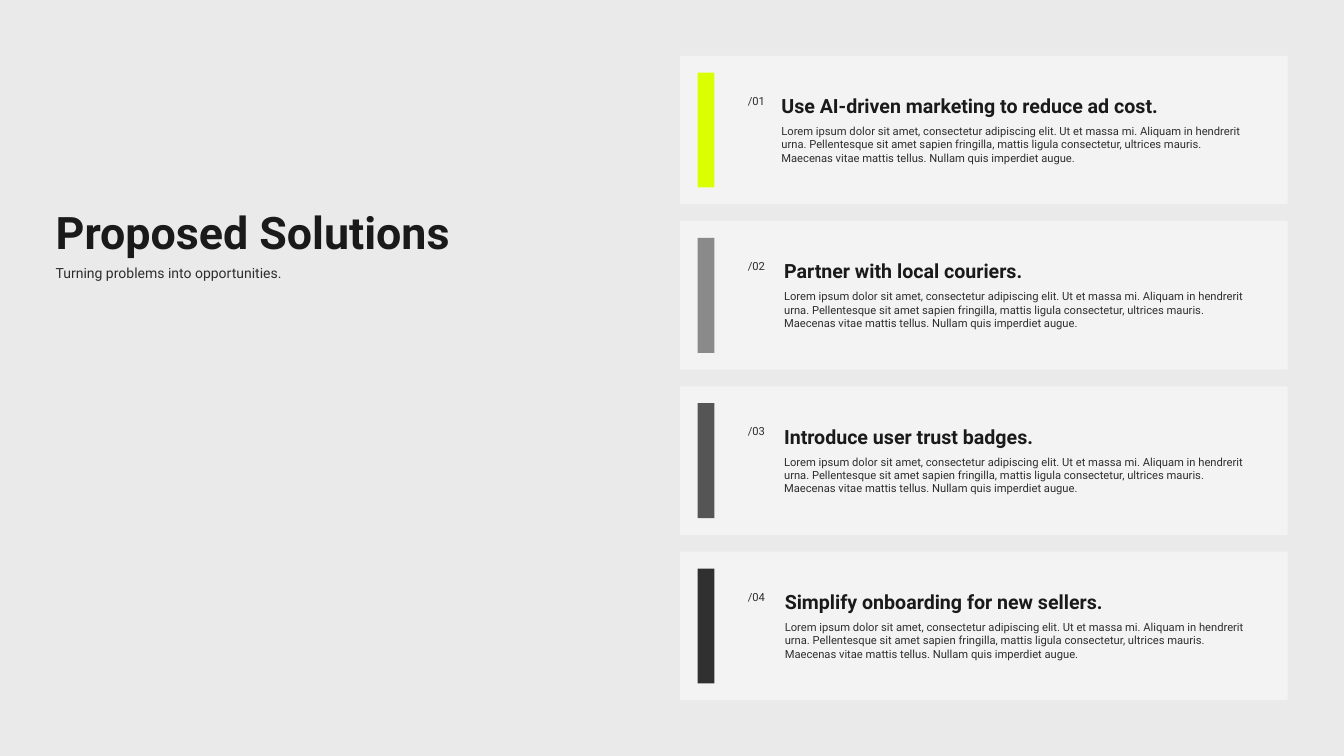
import pptx
import pptx.util
import pptx.dml.color
import pptx.enum.shapes
import pptx.enum.text

Inches = pptx.util.Inches
RGBColor = pptx.dml.color.RGBColor

COLORS = {
    "background": "EAEAEA",
    "card": "F3F3F3",
    "heading": "1A1A1A",
    "body": "2E2E2E",
    "lime": "D9FF00",
    "light_gray": "8A8A8A",
    "mid_gray": "555555",
    "dark_gray": "303030",
}
BODY_LINES = [
    "Lorem ipsum dolor sit amet, consectetur adipiscing elit. Ut et massa mi. Aliquam in hendrerit",
    "urna. Pellentesque sit amet sapien fringilla, mattis ligula consectetur, ultrices mauris.",
    "Maecenas vitae mattis tellus. Nullam quis imperdiet augue.",
]
# heading, bar colour, left of the text, width of the number, width of the heading
SOLUTIONS = [
    ("Use AI-driven marketing to reduce ad cost.", "lime", 11.53, 0.46, 6.36),
    ("Partner with local couriers.", "light_gray", 11.57, 0.49, 4.02),
    ("Introduce user trust badges.", "mid_gray", 11.57, 0.49, 4.27),
    ("Simplify onboarding for new sellers.", "dark_gray", 11.58, 0.5, 5.33),
]
CARD_TOP = 0.83
CARD_PITCH = 2.46

presentation = pptx.Presentation()
presentation.slide_width = Inches(20)
presentation.slide_height = Inches(11.25)
slide = presentation.slides.add_slide(presentation.slide_layouts[6])
slide.background.fill.solid()
slide.background.fill.fore_color.rgb = RGBColor.from_string(COLORS["background"])


def add_block(left, top, width, height, color):
    """Add a filled rectangle without outline or shadow."""
    shape = slide.shapes.add_shape(
        pptx.enum.shapes.MSO_SHAPE.RECTANGLE,
        Inches(left), Inches(top), Inches(width), Inches(height))
    shape.shadow.inherit = False
    shape.fill.solid()
    shape.fill.fore_color.rgb = RGBColor.from_string(COLORS[color])
    shape.line.fill.background()


def add_text(left, top, width, height, text, size, color="body", bold=False, wrap=False):
    text_box = slide.shapes.add_textbox(
        Inches(left), Inches(top), Inches(width), Inches(height))
    text_frame = text_box.text_frame
    text_frame.word_wrap = wrap
    text_frame.auto_size = pptx.enum.text.MSO_AUTO_SIZE.SHAPE_TO_FIT_TEXT
    text_frame.text = text
    for paragraph in text_frame.paragraphs:
        for run in paragraph.runs:
            run.font.name = "Roboto"
            run.font.size = pptx.util.Pt(size)
            run.font.bold = bold
            run.font.color.rgb = RGBColor.from_string(COLORS[color])


add_text(0.73, 2.99, 6.56, 0.94, "Proposed Solutions", 48, "heading", bold=True)
add_text(0.73, 3.88, 3.82, 0.35, "Turning problems into opportunities.", 15)

for index, (heading, bar_color, text_left, number_width, heading_width) in enumerate(SOLUTIONS):
    top = CARD_TOP + index * CARD_PITCH
    add_block(10.12, top, 9.04, 2.21, "card")
    add_block(10.38, top + 0.25, 0.25, 1.71, bar_color)
    add_text(11.03, top + 0.52, number_width, 0.31, f"/{index + 1:02d}", 12)
    add_text(text_left, top + 0.52, heading_width, 0.45, heading, 21, "heading", bold=True)
    add_text(text_left, top + 0.97, 7.76, 0.71, "\n".join(BODY_LINES), 12, wrap=True)

presentation.save("out.pptx")
